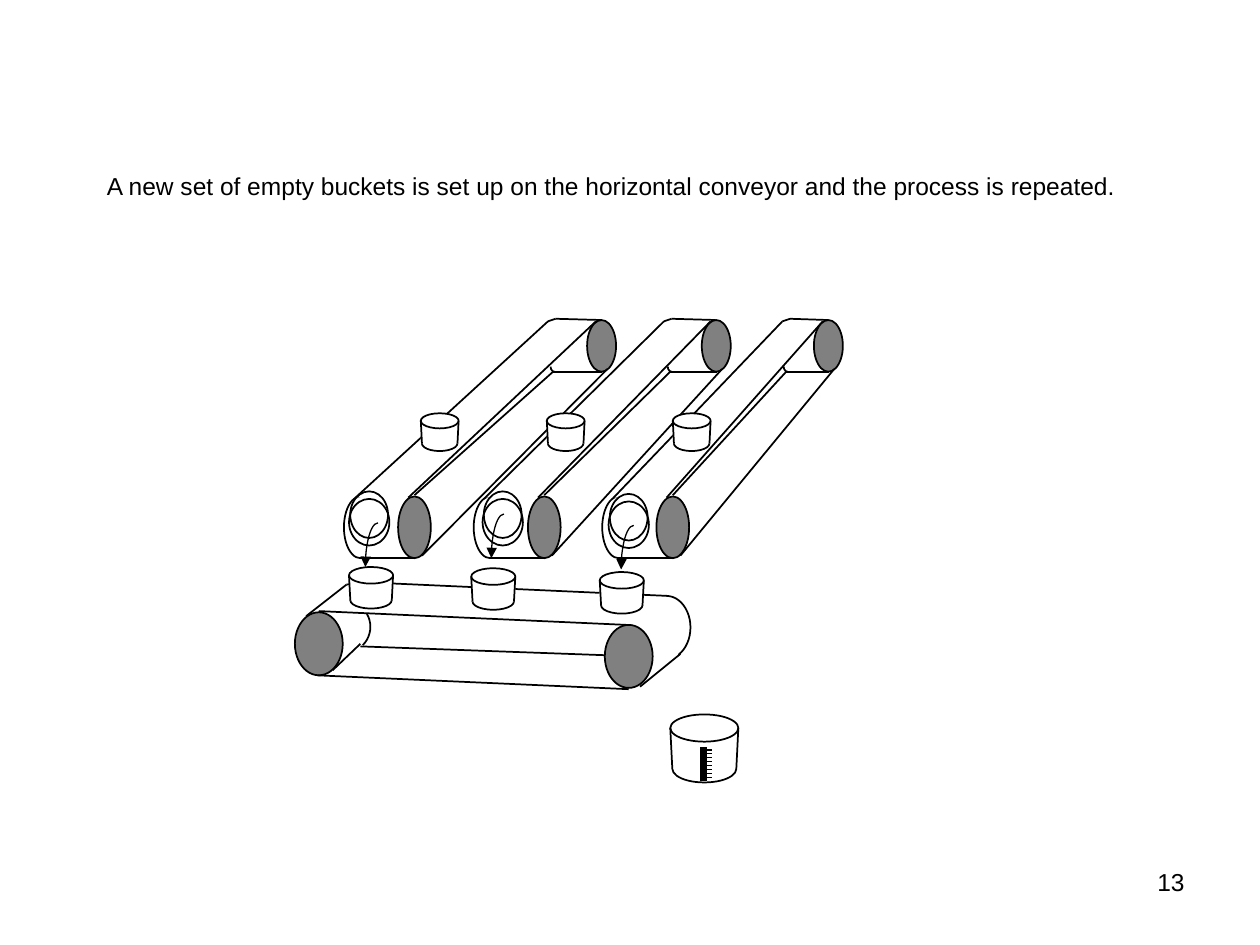
from pptx import Presentation
from pptx import util as u
from pptx.dml.color import RGBColor
from pptx.enum import shapes, text
from pptx.oxml.ns import qn
from lxml import etree

BLACK = RGBColor(0x00, 0x00, 0x00)
WHITE = RGBColor(0xFF, 0xFF, 0xFF)
GRAY = RGBColor(0x80, 0x80, 0x80)
LINE = shapes.MSO_CONNECTOR.STRAIGHT
OVAL = shapes.MSO_SHAPE.OVAL
RECT = shapes.MSO_SHAPE.RECTANGLE
ARC = shapes.MSO_SHAPE.ARC

presentation = Presentation()
presentation.slide_width = u.Inches(10)
presentation.slide_height = u.Inches(7.5)
slide = presentation.slides.add_slide(presentation.slide_layouts[6])


def add_text(content, left, top, width, height, size=14, align=text.PP_ALIGN.LEFT):
    box = slide.shapes.add_textbox(*map(u.Inches, (left, top, width, height)))
    box.text_frame.word_wrap = True
    paragraph = box.text_frame.paragraphs[0]
    paragraph.alignment = align
    run = paragraph.add_run()
    run.text = content
    run.font.size = u.Pt(size)
    run.font.name = "Arial"
    run.font.color.rgb = BLACK


def draw(group, kind, *place, fill=None, weight=1, angles=None):
    """Draw a line (x1, y1, x2, y2) or a shape (left, top, width, height).

    Angles, in degrees, are the clockwise start and end of an arc.
    """
    lengths = [u.Inches(value) for value in place]
    if kind is LINE:
        shape = group.shapes.add_connector(LINE, *lengths)
    else:
        shape = group.shapes.add_shape(kind, *lengths)
        shape.shadow.inherit = False
        if fill is None:
            shape.fill.background()
        else:
            shape.fill.solid()
            shape.fill.fore_color.rgb = fill
    if kind is RECT:
        shape.line.fill.background()
    else:
        shape.line.color.rgb = BLACK
        shape.line.width = u.Pt(weight)
    if kind is LINE:
        etree.SubElement(shape._element.spPr, qn("a:effectLst"))
    if angles:
        for index, angle in enumerate(angles):
            shape.adjustments[index] = angle * 0.6
    return shape


# Sloping conveyors: left of front roller, left of back roller,
# far top corner, far bottom corner
BELTS = [
    (4.19, 5.57, 5.27, 5.33),
    (5.21, 6.46, 6.21, 6.25),
    (3.16, 4.66, 4.35, 4.40),
]
belts = slide.shapes.add_group_shape()
for front, back, top_corner, low_corner in BELTS:
    draw(belts, LINE, front + 0.08, 3.95, back + 0.07, 2.55)
    draw(belts, OVAL, front, 3.94, 0.26, 0.49, fill=GRAY)
    draw(belts, OVAL, front - 0.43, 3.94, 0.26, 0.49)
    draw(belts, RECT, front - 0.30, 3.90, 0.23, 0.60, fill=WHITE)
    draw(belts, LINE, front + 0.13, 4.43, front - 0.31, 4.43)
    draw(belts, RECT, front - 0.42, 3.88, 0.18, 0.07, fill=WHITE)
    draw(belts, LINE, front - 0.35, 3.96, top_corner, 2.55)
    draw(belts, OVAL, back, 2.54, 0.23, 0.41, fill=GRAY)
    draw(belts, LINE, back + 0.11, 2.54, top_corner + 0.06, 2.53)
    draw(belts, LINE, top_corner, 2.55, top_corner + 0.06, 2.53)
    draw(belts, LINE, back + 0.12, 2.95, low_corner - 0.01, 2.95)
    draw(belts, ARC, low_corner - 0.03, 2.87, 0.06, 0.08, angles=(90, 180))
    draw(belts, LINE, low_corner - 0.01, 2.95, front + 0.13, 3.93)
for front, back, *_ in BELTS:
    draw(belts, LINE, front + 0.19, 4.41, back + 0.16, 2.93)

# Horizontal conveyor
conveyor = slide.shapes.add_group_shape()
draw(conveyor, OVAL, 2.34, 4.86, 0.38, 0.50, fill=GRAY)
draw(conveyor, LINE, 2.43, 4.89, 2.75, 4.64)
draw(conveyor, LINE, 2.75, 4.64, 2.87, 4.62)
draw(conveyor, OVAL, 5.10, 4.73, 0.38, 0.50)
draw(conveyor, RECT, 5.03, 4.66, 0.26, 0.69, fill=WHITE)
draw(conveyor, OVAL, 4.80, 4.96, 0.38, 0.50, fill=GRAY)
draw(conveyor, LINE, 5.31, 4.73, 2.87, 4.62)
draw(conveyor, RECT, 5.23, 5.14, 0.15, 0.24, fill=WHITE)
draw(conveyor, LINE, 5.08, 5.45, 5.40, 5.19)
draw(conveyor, LINE, 4.99, 5.47, 2.52, 5.36)
draw(conveyor, LINE, 2.86, 5.13, 4.80, 5.20)
draw(conveyor, LINE, 2.64, 5.32, 2.86, 5.11)
draw(conveyor, ARC, 2.53, 4.77, 0.41, 0.41, angles=(315, 45))
draw(conveyor, RECT, 2.83, 4.80, 0.13, 0.07, fill=WHITE)
draw(conveyor, LINE, 4.98, 4.96, 2.53, 4.85)

draw(slide, OVAL, 2.69, 2.62, 0.32, 0.13, fill=WHITE).line.fill.background()

# Buckets: left, top, width, height
BUCKETS = [(left, 3.28, 0.30, 0.30) for left in (5.34, 4.34, 3.34)]
BUCKETS += [
    (2.77, 4.50, 0.35, 0.33),
    (3.74, 4.51, 0.35, 0.33),
    (4.76, 4.54, 0.35, 0.33),
    (5.32, 5.67, 0.54, 0.54),
]
for left, top, width, height in BUCKETS:
    bucket = slide.shapes.add_group_shape()
    rim = 0.4 * height
    taper = 0.03 * width
    right, rim_middle, base_middle = left + width, top + rim / 2, top + height - rim / 2
    draw(bucket, OVAL, left + taper, top + height - rim, width - 2 * taper, rim)
    draw(bucket, RECT, left, rim_middle, width, base_middle - rim_middle, fill=WHITE)
    draw(bucket, OVAL, left, top, width, rim, fill=WHITE)
    draw(bucket, LINE, left, rim_middle, left + taper, base_middle)
    draw(bucket, LINE, right, rim_middle, right - taper, base_middle)

# Scale on the large bucket
scale = slide.shapes.add_group_shape()
draw(scale, LINE, 5.58, 5.93, 5.58, 6.20, weight=4)
for tick in range(8):
    y = 5.95 + tick * 0.22 / 7
    draw(scale, LINE, 5.59, y, 5.65, y)

# Balls on the front ends, with arrows down to the buckets
for left, top in [(2.77, 3.90), (3.83, 3.90), (4.83, 3.92)]:
    ball = slide.shapes.add_group_shape()
    draw(ball, OVAL, left + 0.01, top, 0.30, 0.37)
    draw(ball, OVAL, left, top + 0.06, 0.32, 0.37)
for left, top in [(2.90, 4.15), (3.90, 4.08), (4.93, 4.17)]:
    arrow = draw(slide, ARC, left, top, 0.20, 0.70, weight=0.75, angles=(180, 270))
    etree.SubElement(arrow.line._get_or_add_ln(), qn("a:headEnd"), type="triangle")

add_text("13", 7.17, 6.83, 2.33, 0.52, align=text.PP_ALIGN.RIGHT)
add_text(
    "A new set of empty buckets is set up on the horizontal conveyor "
    "and the process is repeated.",
    0.75, 1.31, 8.5, 0.34,
)

presentation.save("out.pptx")
